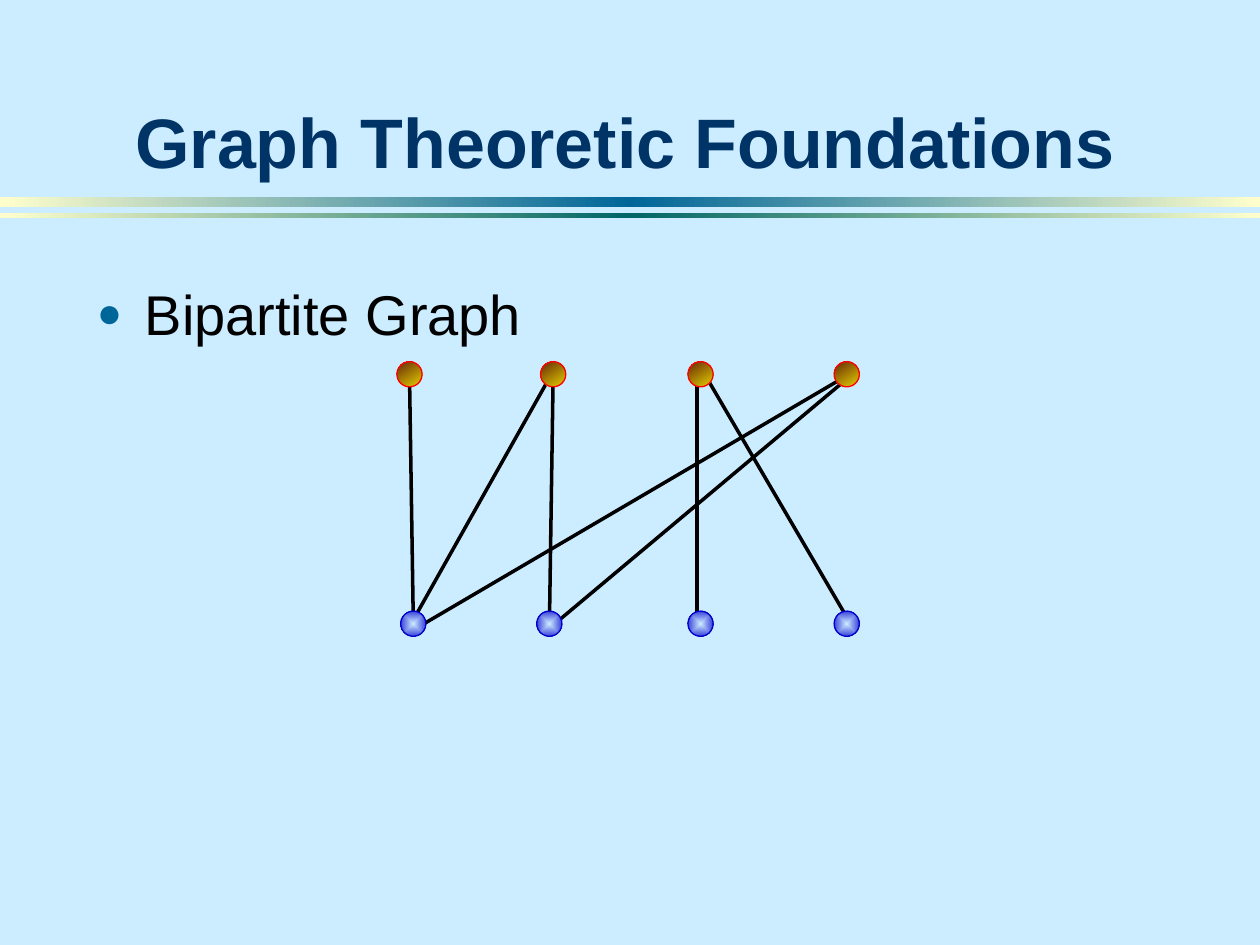
from lxml import etree
from pptx import Presentation
from pptx.dml.color import RGBColor
from pptx.enum.shapes import MSO_CONNECTOR as Connector, MSO_SHAPE as Shape
from pptx.enum.text import MSO_ANCHOR as Anchor, PP_ALIGN as Align
from pptx.oxml.ns import qn
from pptx.util import Inches, Pt

SKY = RGBColor(0xCC, 0xEC, 0xFF)
CREAM = RGBColor(0xFF, 0xFF, 0xCC)
OCEAN = RGBColor(0x00, 0x66, 0x99)
TEAL = RGBColor(0x00, 0x66, 0x66)
NAVY = RGBColor(0x00, 0x33, 0x66)
BLUE = RGBColor(0x00, 0x00, 0xCC)
YELLOW = RGBColor(0xFF, 0xF2, 0x00)
MAROON = RGBColor(0x4D, 0x08, 0x08)
RED = RGBColor(0xFF, 0x00, 0x00)
BLACK = RGBColor(0x00, 0x00, 0x00)

WIDTH, HEIGHT = 10, 7.5
TEXT_LEFT, TEXT_WIDTH = 0.67, 8.58
NODE_SIZE = 0.2
UPPER_ROW, LOWER_ROW = 2.87, 4.85
UPPER_COLUMNS = (3.15, 4.29, 5.46, 6.62)
LOWER_COLUMNS = (3.18, 4.26, 5.46, 6.62)
EDGES = (
    ((4.44, 4.92), (6.73, 3)),
    ((3.28, 5), (6.69, 3)),
    ((3.28, 4.92), (3.25, 2.98)),
    ((5.53, 4.92), (5.53, 3)),
    ((3.28, 4.92), (4.36, 3)),
    ((6.78, 5), (5.61, 3)),
    ((4.36, 5), (4.39, 3)),
)


def fill_gradient(shape, colours, angle=None):
    gradient = etree.SubElement(shape._element.spPr, qn("a:gradFill"), rotWithShape="0")
    stops = etree.SubElement(gradient, qn("a:gsLst"))
    for index, colour in enumerate(colours):
        position = 100000 * index // (len(colours) - 1)
        stop = etree.SubElement(stops, qn("a:gs"), pos=str(position))
        etree.SubElement(stop, qn("a:srgbClr"), val=str(colour))
    if angle is None:
        centre = etree.SubElement(gradient, qn("a:path"), path="rect")
        sides = dict.fromkeys("ltrb", "50000")
        etree.SubElement(centre, qn("a:fillToRect"), **sides)
    else:
        etree.SubElement(gradient, qn("a:lin"), ang=str(angle * 60000), scaled="0")


def add_band(slide, top, height, middle):
    band = slide.shapes.add_shape(
        Shape.RECTANGLE, 0, Inches(top), Inches(WIDTH), Inches(height))
    fill_gradient(band, (CREAM, middle, CREAM), 0)
    band.line.fill.background()
    band.shadow.inherit = False


def add_text(paragraph, text, size, colour, bold=False):
    run = paragraph.add_run()
    run.text = text
    run.font.name = "Arial"
    run.font.size = Pt(size)
    run.font.color.rgb = colour
    run.font.bold = bold


def format_title(slide, text):
    title = slide.shapes.title
    title.left, title.top = Inches(TEXT_LEFT), Inches(0.25)
    title.width, title.height = Inches(TEXT_WIDTH), Inches(1.25)
    title.text_frame.vertical_anchor = Anchor.BOTTOM
    heading = title.text_frame.paragraphs[0]
    heading.alignment = Align.CENTER
    add_text(heading, text, 40, NAVY, bold=True)


def add_bullet(slide, text):
    body = slide.shapes.add_textbox(
        Inches(TEXT_LEFT), Inches(2.17), Inches(TEXT_WIDTH), Inches(4.5))
    body.text_frame.word_wrap = True
    item = body.text_frame.paragraphs[0]
    properties = item._p.get_or_add_pPr()
    properties.set("marL", str(Inches(0.38)))
    properties.set("indent", str(Inches(-0.38)))
    colour = etree.SubElement(properties, qn("a:buClr"))
    etree.SubElement(colour, qn("a:srgbClr"), val=str(OCEAN))
    etree.SubElement(properties, qn("a:buSzPct"), val="75000")
    etree.SubElement(properties, qn("a:buFont"), typeface="Arial")
    etree.SubElement(properties, qn("a:buChar"), char="●")
    add_text(item, text, 32, BLACK)


def add_edge(graph, start, end):
    edge = graph.shapes.add_connector(
        Connector.STRAIGHT, *(Inches(length) for length in start + end))
    edge.line.color.rgb = BLACK
    edge.line.width = Pt(2)
    etree.SubElement(edge._element.spPr, qn("a:effectLst"))


def add_nodes(graph, columns, row, colours, outline, angle=None):
    for column in columns:
        node = graph.shapes.add_shape(
            Shape.OVAL, Inches(column), Inches(row), Inches(NODE_SIZE), Inches(NODE_SIZE))
        fill_gradient(node, colours, angle)
        node.rotation = 212.8
        node.line.color.rgb = outline
        node.line.width = Pt(0.75)
        node.shadow.inherit = False


def main():
    deck = Presentation()
    deck.slide_width, deck.slide_height = Inches(WIDTH), Inches(HEIGHT)
    slide = deck.slides.add_slide(deck.slide_layouts[5])
    slide.background.fill.solid()
    slide.background.fill.fore_color.rgb = SKY
    add_band(slide, 1.56, 0.08, OCEAN)
    add_band(slide, 1.69, 0.04, TEAL)
    format_title(slide, "Graph Theoretic Foundations")
    add_bullet(slide, "Bipartite Graph")
    graph = slide.shapes.add_group_shape()
    for start, end in EDGES:
        add_edge(graph, start, end)
    add_nodes(graph, LOWER_COLUMNS, LOWER_ROW, (SKY, BLUE), BLUE)
    add_nodes(graph, UPPER_COLUMNS, UPPER_ROW, (YELLOW, MAROON), RED, 237)
    deck.save("out.pptx")


if __name__ == "__main__":
    main()
